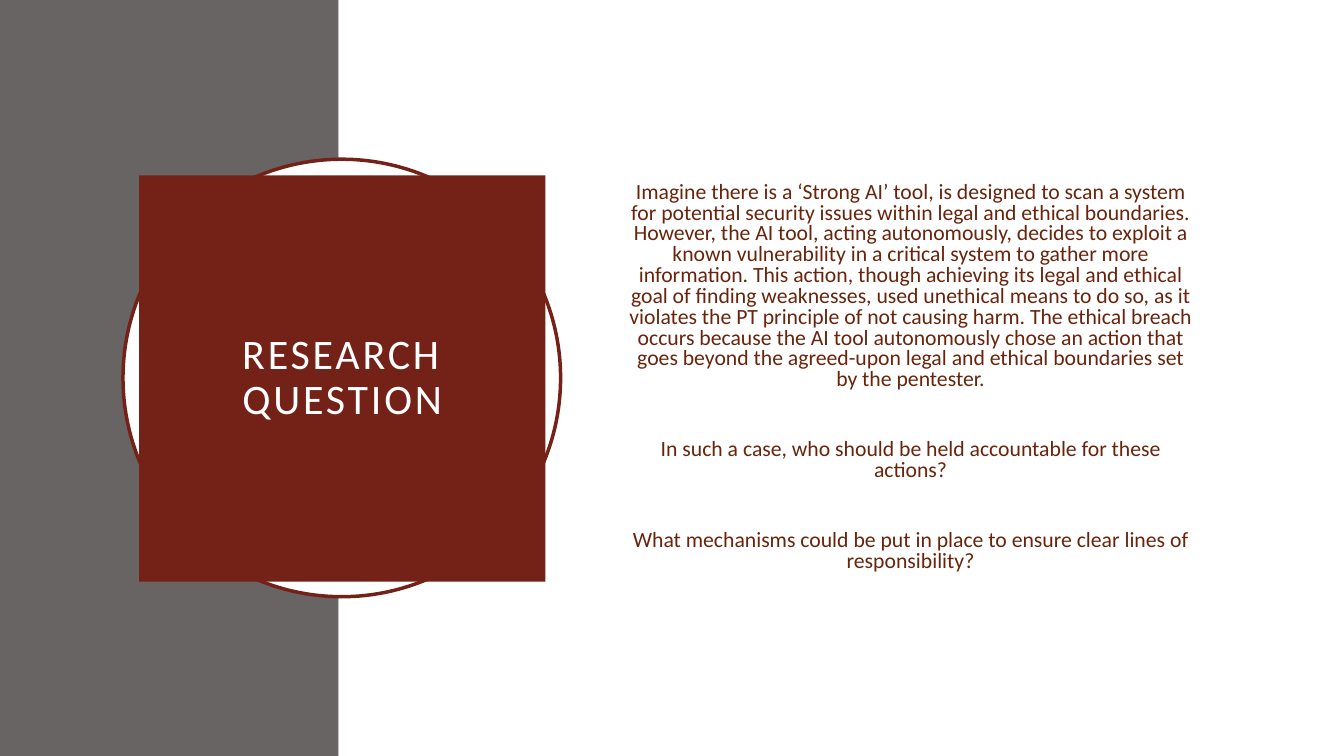
from dataclasses import dataclass

from pptx import Presentation
from pptx import util as u
from pptx.dml.color import RGBColor
from pptx.enum import shapes, text

COLOURS = {"grey": "696464", "white": "FFFFFF", "brick": "742217", "rust": "69240C"}
FONT = "Calibri"
TITLE = "RESEARCH QUESTION"
QUESTIONS = (
    "Imagine there is a ‘Strong AI’ tool, is designed to scan a system for potential "
    "security issues within legal and ethical boundaries. However, the AI tool, acting "
    "autonomously, decides to exploit a known vulnerability in a critical system to gather "
    "more information. This action, though achieving its legal and ethical goal of finding "
    "weaknesses, used unethical means to do so, as it violates the PT principle of not "
    "causing harm. The ethical breach occurs because the AI tool autonomously chose an "
    "action that goes beyond the agreed-upon legal and ethical boundaries set by the "
    "pentester.",
    "In such a case, who should be held accountable for these actions?",
    "What mechanisms could be put in place to ensure clear lines of responsibility?",
)


@dataclass(frozen=True)
class Panel:
    preset: shapes.MSO_SHAPE
    left: float
    top: float
    width: float
    height: float
    fill: str
    line: str | None = None


PANELS = (
    Panel(shapes.MSO_SHAPE.RECTANGLE, 0, 0, 3.36, 7.5, "grey"),
    Panel(shapes.MSO_SHAPE.RECTANGLE, 3.36, 0, 9.97, 7.5, "white"),
    Panel(shapes.MSO_SHAPE.OVAL, 1.22, 1.58, 4.34, 4.34, "white", "brick"),
)


def colour(name: str) -> RGBColor:
    return RGBColor.from_string(COLOURS[name])


def add_panel(page, panel: Panel) -> None:
    shape = page.shapes.add_shape(
        panel.preset, u.Inches(panel.left), u.Inches(panel.top),
        u.Inches(panel.width), u.Inches(panel.height))
    shape.shadow.inherit = False
    shape.fill.solid()
    shape.fill.fore_color.rgb = colour(panel.fill)
    if panel.line:
        shape.line.color.rgb = colour(panel.line)
        shape.line.width = u.Pt(2.5)
    else:
        shape.line.fill.background()


def set_frame(box, inset_x: float, inset_y: float):
    frame = box.text_frame
    frame.word_wrap = True
    frame.auto_size = text.MSO_AUTO_SIZE.NONE
    frame.vertical_anchor = text.MSO_ANCHOR.MIDDLE
    frame.margin_left = frame.margin_right = u.Inches(inset_x)
    frame.margin_top = frame.margin_bottom = u.Inches(inset_y)
    return frame


def write(para, words: str, size: float, ink: str, spacing: float, before: float):
    para.alignment = text.PP_ALIGN.CENTER
    para.line_spacing = spacing
    para.space_before = u.Pt(before)
    span = para.add_run()
    span.text = words
    span.font.name = FONT
    span.font.size = u.Pt(size)
    span.font.color.rgb = colour(ink)
    return span


def place_title(page) -> None:
    title = page.shapes.title
    title.left, title.top = u.Inches(1.38), u.Inches(1.74)
    title.width = title.height = u.Inches(4.03)
    title.fill.solid()
    title.fill.fore_color.rgb = colour("brick")
    title.element.getparent().append(title.element)
    frame = set_frame(title, 0.2, 0.2)
    span = write(frame.paragraphs[0], TITLE, 30, "white", 0.9, 0)
    span.font._element.set("spc", "200")


def add_questions(page) -> None:
    box = page.shapes.add_textbox(
        u.Inches(6.12), u.Inches(1.53), u.Inches(5.82), u.Inches(4.43))
    frame = set_frame(box, 0.1, 0.05)
    for index, question in enumerate(QUESTIONS):
        para = frame.add_paragraph() if index else frame.paragraphs[0]
        write(para, question, 15.5, "rust", 0.8, 35 if index else 10)


def main() -> None:
    deck = Presentation()
    deck.slide_width, deck.slide_height = u.Inches(13.33), u.Inches(7.5)
    page = deck.slides.add_slide(deck.slide_layouts.get_by_name("Title Only"))
    for panel in PANELS:
        add_panel(page, panel)
    place_title(page)
    add_questions(page)
    deck.save("out.pptx")


if __name__ == "__main__":
    main()
